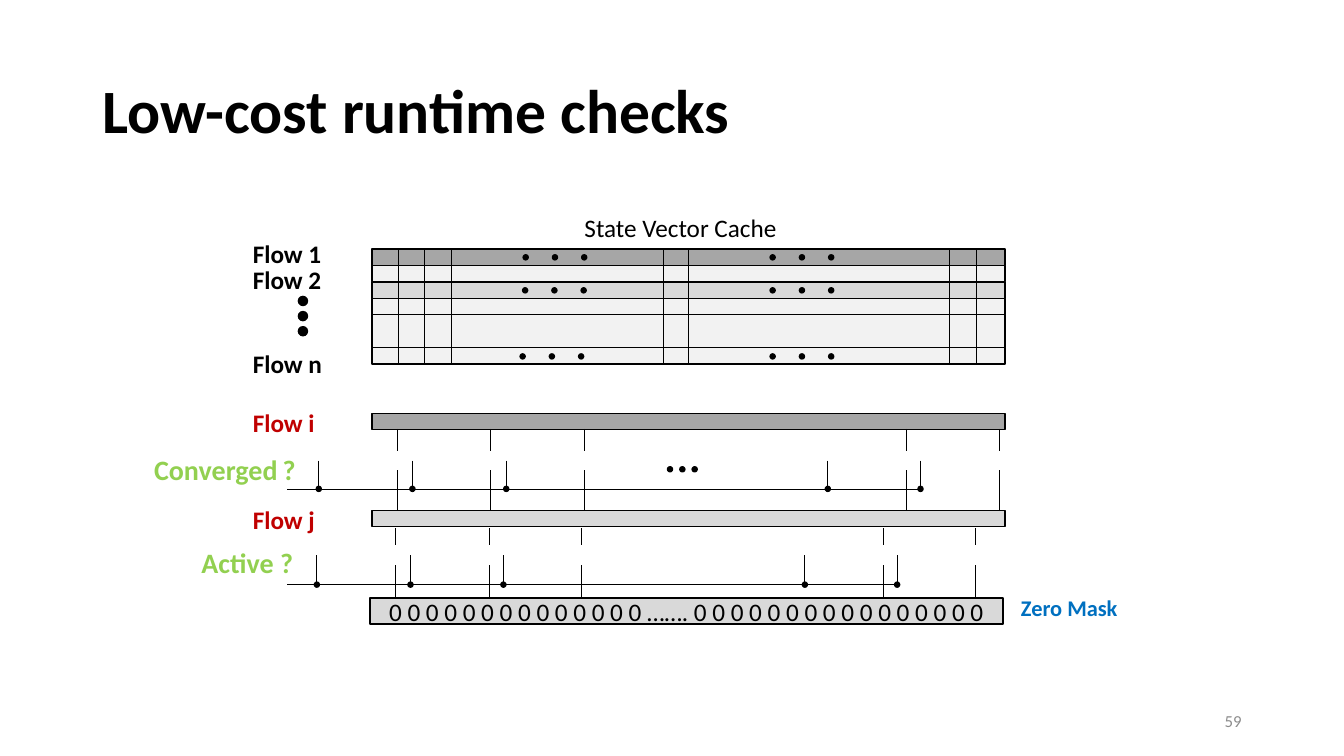
from pptx import Presentation
from pptx import util as u
from pptx.dml import color as c
from pptx.enum import shapes as s, text as t
from pptx.oxml import ns, xmlchemy as x

BLACK = c.RGBColor(0x00, 0x00, 0x00)
DARK = c.RGBColor(0xA6, 0xA6, 0xA6)
MEDIUM = c.RGBColor(0xD9, 0xD9, 0xD9)
LIGHT = c.RGBColor(0xF2, 0xF2, 0xF2)
RED = c.RGBColor(0xC0, 0x00, 0x00)
GREEN = c.RGBColor(0x92, 0xD0, 0x50)
BLUE = c.RGBColor(0x00, 0x70, 0xC0)
GRAY = c.RGBColor(0x8C, 0x8C, 0x8C)


class Canvas:
    """Draws styled elements on the current slide, with lengths in points."""

    font = "Calibri"
    dot_size = 3.6

    def __init__(self, slide):
        self.slide = slide
        self.shapes = slide.shapes

    def start_group(self):
        self.shapes = self.slide.shapes.add_group_shape().shapes

    def end_group(self):
        self.shapes = self.slide.shapes

    def format_run(self, run, size, color, bold):
        run.font.name = self.font
        run.font.size = u.Pt(size)
        run.font.bold = bold
        run.font.color.rgb = color

    def fill_text(self, shape, words, size, color, bold, align):
        shape.text_frame.word_wrap = True
        shape.text_frame.text = words
        paragraph = shape.text_frame.paragraphs[0]
        paragraph.alignment = align
        self.format_run(paragraph.runs[0], size, color, bold)
        return paragraph

    def label(self, words, left, top, width, height, size=18, color=BLACK, bold=True,
              align=t.PP_ALIGN.LEFT, anchor=t.MSO_ANCHOR.TOP):
        shape = self.shapes.add_textbox(u.Pt(left), u.Pt(top), u.Pt(width), u.Pt(height))
        shape.text_frame.vertical_anchor = anchor
        return self.fill_text(shape, words, size, color, bold, align)

    def solid(self, kind, left, top, width, height, fill):
        shape = self.shapes.add_shape(kind, u.Pt(left), u.Pt(top), u.Pt(width), u.Pt(height))
        shape.shadow.inherit = False
        shape.fill.solid()
        shape.fill.fore_color.rgb = fill
        shape.line.color.rgb = BLACK
        shape.line.width = u.Pt(1)
        return shape

    def bar(self, top, fill, left=265.7, height=11.76):
        return self.solid(s.MSO_SHAPE.RECTANGLE, left, top, 452.2, height, fill)

    def dot(self, center_x, center_y, size=dot_size):
        self.solid(s.MSO_SHAPE.OVAL, center_x - size / 2, center_y - size / 2, size, size, BLACK)

    def trio(self, middle_x, center_y, step):
        for place in (-1, 0, 1):
            self.dot(middle_x + place * step, center_y)

    def line(self, x1, y1, x2, y2):
        connector = self.shapes.add_connector(
            s.MSO_CONNECTOR.STRAIGHT, u.Pt(x1), u.Pt(y1), u.Pt(x2), u.Pt(y2))
        connector.line.color.rgb = BLACK
        connector.line.width = u.Pt(0.5)
        properties = connector.element.find(ns.qn("p:spPr"))
        properties.append(x.OxmlElement("a:effectLst"))

    def comparator(self, taps, upper, lower, gate_top, wire, wire_end):
        gate_shift = 56
        self.line(205.2, wire, wire_end, wire)
        for tap in taps:
            self.line(tap, upper[0], tap, upper[1])
            self.line(tap, lower[0], tap, lower[1])
            self.line(tap - gate_shift, gate_top, tap - gate_shift, wire)
            self.dot(tap - gate_shift, wire)


def draw_cache(canvas):
    top, row = 177.8, 11.76
    for index, fill in enumerate([DARK, LIGHT, MEDIUM, LIGHT]):
        canvas.bar(top + index * row, fill)
    canvas.bar(top + 6 * row, LIGHT)
    canvas.bar(top + 4 * row, LIGHT, height=2 * row)
    canvas.label("State Vector Cache", 410.4, 148.4, 162, 29, bold=False)
    for column in (284.4, 303.2, 322.2, 473.8, 491.8, 678.2, 697.7):
        canvas.line(column, top, column, top + 7 * row)
    for left_middle, center_y in ((396.4, 183.8), (396, 207.4), (394.2, 254.6)):
        canvas.trio(left_middle, center_y, 20.9)
        canvas.trio(572.8, center_y, 20.9)


def draw_checks(canvas):
    canvas.bar(295.2, DARK)
    canvas.bar(364.5, MEDIUM)
    mask = canvas.bar(427, MEDIUM, left=264.4, height=18.8)
    canvas.fill_text(mask, "0 0 0 0 0 0 0 0 0 0 0 0 0 0 ……. 0 0 0 0 0 0 0 0 0 0 0 0 0 0 0 0",
                     18, BLACK, False, t.PP_ALIGN.CENTER)

    canvas.start_group()
    canvas.comparator((283.7, 350.6, 417.6, 647.3, 713.5), (306.4, 322),
                      (335.9, 364.2), 329, 349.2, 658.8)
    converged = canvas.label("Converged", 103, 319.7, 136.8, 31.7, 20, GREEN)
    for words, size in ((" ", 16), ("?", 20)):
        run = converged.add_run()
        run.text = words
        canvas.format_run(run, size, GREEN, True)
    canvas.trio(487.4, 335.2, 8.8)

    canvas.start_group()
    canvas.comparator((282.3, 349.2, 415.6, 630.9, 696.8), (377.2, 389),
                      (403.7, 427), 396.7, 417.6, 641.5)
    canvas.label("Active ?", 136.8, 385.9, 107.3, 31.7, 20, GREEN)
    canvas.end_group()
    canvas.label("Zero Mask", 722.2, 421.2, 88.6, 26.6, 16, BLUE)


def draw_flow_labels(canvas):
    for name, top, color in (("1", 167, BLACK), ("2", 185.4, BLACK), ("n", 245.1, BLACK),
                             ("i", 287.3, RED), ("j", 356.7, RED)):
        canvas.label(f"Flow {name}", 173.5, top, 77.5, 29, color=color)
    for index in range(3):
        canvas.dot(216.4, 215 + index * 10.8, 6.5)


def main():
    presentation = Presentation()
    presentation.slide_width, presentation.slide_height = u.Pt(960), u.Pt(540)
    canvas = Canvas(presentation.slides.add_slide(presentation.slide_layouts[6]))
    title = canvas.label("Low-cost runtime checks", 66, 28.75, 851, 104.4, 44,
                         anchor=t.MSO_ANCHOR.MIDDLE)
    title.line_spacing = 0.9
    draw_cache(canvas)
    draw_checks(canvas)
    draw_flow_labels(canvas)
    canvas.label("59", 678, 500.5, 216, 28.75, 12, GRAY, False,
                 t.PP_ALIGN.RIGHT, t.MSO_ANCHOR.MIDDLE)
    presentation.save("out.pptx")


if __name__ == "__main__":
    main()
